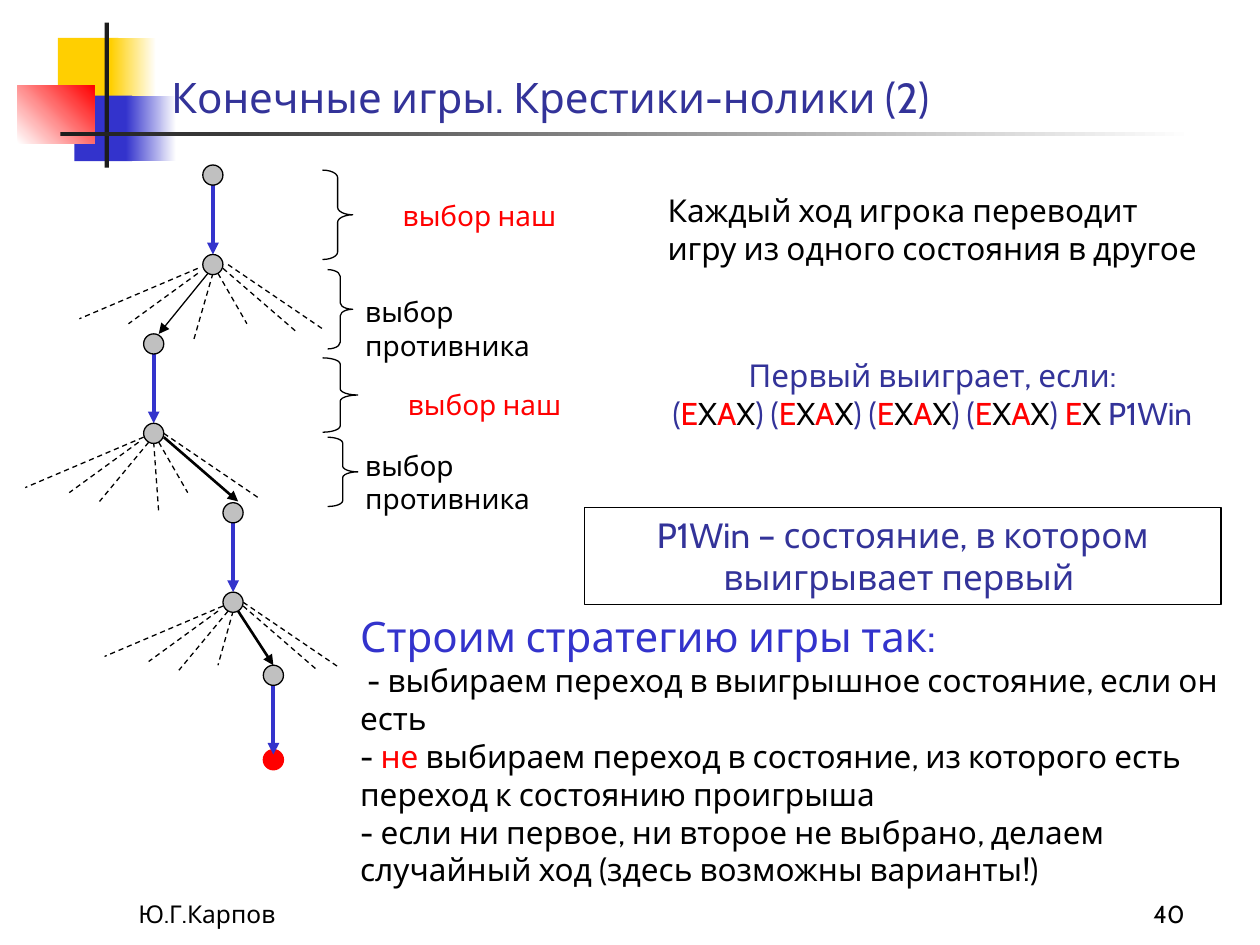
from lxml.etree import SubElement as Sub
from pptx import Presentation
from pptx.dml.color import RGBColor as Rgb
from pptx.enum.dml import MSO_LINE as Dash
from pptx.enum.shapes import MSO_CONNECTOR as Link, MSO_SHAPE as Kind
from pptx.enum.text import MSO_ANCHOR as Anchor, PP_ALIGN as Align
from pptx.oxml.ns import qn
from pptx.util import Inches, Pt

COLS, ROWS = 100, 75
HUES = {
    "black": "000000", "coal": "1C1C1C", "white": "FFFFFF", "grey": "C0C0C0",
    "red": "FF0000", "gold": "FFCF01", "blue": "3333CC", "navy": "333399",
}


def hue(name):
    return Rgb.from_string(HUES[name])


def put(item, **values):
    for name, value in values.items():
        setattr(item, name, value)


class Deck:
    face = "Cabin"

    def __init__(self):
        self.show = Presentation()
        put(self.show, slide_width=Inches(10), slide_height=Inches(7.5))
        self.slide = self.show.slides.add_slide(self.show.slide_layouts[6])

    def place(self, *cells):
        sizes = (self.show.slide_width / COLS, self.show.slide_height / ROWS)
        return [int(cell * sizes[i % 2]) for i, cell in enumerate(cells)]

    def shape(self, kind, at, fill=None, edge=None):
        item = self.slide.shapes.add_shape(kind, *self.place(*at))
        item.shadow.inherit = False
        if fill:
            item.fill.solid()
            item.fill.fore_color.rgb = hue(fill)
        else:
            item.fill.background()
        if edge:
            item.line.color.rgb = hue(edge)
            item.line.width = Pt(0.75)
        else:
            item.line.fill.background()
        return item

    def fade(self, at, start, end, angle=0):
        fill = self.shape(Kind.RECTANGLE, at).fill
        fill.gradient()
        fill.gradient_angle = angle
        for stop, name, spot in zip(fill.gradient_stops, (start, end), (0, 1)):
            put(stop, position=spot)
            stop.color.rgb = hue(name)

    def node(self, spot, fill="grey", edge="black"):
        x, y = spot
        self.shape(Kind.OVAL, (x - 0.8, y - 0.8, 1.6, 1.6), fill, edge)

    def brace(self, at):
        item = self.shape(Kind.RIGHT_BRACE, at, edge="black")
        item.adjustments[0] = at[3] / at[2] / 12

    def line(self, start, end, color="black", width=0.75, dash=False, arrow=False):
        item = self.slide.shapes.add_connector(
            Link.STRAIGHT, *self.place(*start, *end))
        item.line.color.rgb = hue(color)
        item.line.width = Pt(width)
        if dash:
            item.line.dash_style = Dash.DASH
        if arrow:
            Sub(item.line._ln, qn("a:tailEnd"), type="triangle")
        Sub(item._element.spPr, qn("a:effectLst"))

    def text(self, at, runs, size, align=Align.LEFT, anchor=Anchor.TOP, box=False):
        if box:
            item = self.shape(Kind.RECTANGLE, at, edge="black")
        else:
            item = self.slide.shapes.add_textbox(*self.place(*at))
        put(item.text_frame, word_wrap=True, vertical_anchor=anchor)
        para = item.text_frame.paragraphs[0]
        para.alignment = align
        for words, color, *own in runs:
            for i, part in enumerate(words.split("\n")):
                if i:
                    para.add_line_break()
                if part:
                    run = para.add_run()
                    run.text = part
                    put(run.font, name=self.face, size=Pt(own[0] if own else size))
                    run.font.color.rgb = hue(color)


def frame(deck):
    deck.shape(Kind.RECTANGLE, (4.6, 3, 4.8, 5.2), "gold")
    deck.fade((8.8, 3, 3.6, 5.2), "gold", "white")
    deck.shape(Kind.RECTANGLE, (5.9, 7.6, 4.6, 5.2), "blue")
    deck.fade((10, 7.6, 4, 5.2), "blue", "white")
    deck.fade((1.4, 6.8, 6.1, 4.6), "white", "red", 45)
    deck.shape(Kind.RECTANGLE, (8.3, 1.8, 0.35, 11.5), "coal")
    deck.fade((4.8, 10.5, 90, 0.3), "coal", "white")
    deck.text((12.6, 2.2, 85.2, 8), [("Конечные игры. Крестики-нолики (2)", "navy")],
              24, anchor=Anchor.BOTTOM)
    for x, words, align in ((10, "Ю.Г.Карпов", Align.LEFT), (74.2, "40", Align.RIGHT)):
        deck.text((x, 69.2, 20.8, 5), [(words, "black")], 14, align, Anchor.BOTTOM)


def tree(deck):
    heads = [(16.9, 13.9), (12.2, 27.3), (18.5, 40.7), (21.7, 53.6)]
    feet = [(x, y + 7.1) for x, y in heads[:3]]
    rays = [
        ((-1.2, 0.7), (-6.7, 4.7)), ((-0.4, 0.7), (-4.3, 5.4)),
        ((-0.8, 0.3), (-10.2, 4.3)), ((0.4, 0.7), (2.7, 4.7)),
        ((0.8, 0.3), (6.7, 5.4)), ((0.8, 0), (8.3, 5.1)),
    ]
    fans = [
        (1, (-4.3, 5.5), (-1.5, 5.9), 0.4, 0.75),
        (4, (6.7, 5.4), (0.4, 6.3), 0, 1.5),
        (3, (3.2, 5), (-1.2, 5), 0, 1.5),
    ]
    deck.node((21.7, 60.3), "red", "red")
    for (x, y), (pick, tip, down, slack, width) in zip(feet, fans):
        for i, (start, end) in enumerate(rays + [((0, 0.7), down)]):
            chosen = i == pick
            shift = {2: -slack, 5: slack}.get(i, 0)
            a, b = tip if chosen else end
            deck.line((x + start[0] + shift, y + start[1]), (x + a + shift, y + b),
                      width=width if chosen else 0.75, dash=not chosen, arrow=chosen)
    for x, y in heads:
        deck.line((x, y + 0.8), (x, y + 6.3), "blue", 2.25, arrow=True)
    for spot in heads + feet:
        deck.node(spot)


def turns(deck):
    ours, theirs = ("выбор наш", "red"), ("выбор противника", "black")
    rows = [
        ((25.6, 13.5, 2.4, 7.1), (27.6, 15.3, 20.9, 3.7), ours, Align.CENTER),
        ((26, 21.4, 2, 6.3), (28, 22.9, 21.6, 6.4), theirs, Align.LEFT),
        ((25.6, 28.4, 2.8, 5.9), (28, 30.3, 20.9, 3.7), ours, Align.CENTER),
        ((26, 34.7, 2.4, 5.5), (28, 35.1, 21.6, 6.4), theirs, Align.LEFT),
    ]
    for brace, label, run, align in rows:
        deck.brace(brace)
        deck.text(label, [run], 16, align)


def notes(deck):
    deck.text((52, 14.7, 44.1, 10),
              [("Каждый ход игрока переводит игру из одного состояния в другое", "black")], 18)
    deck.text((27.6, 48, 72.4, 23), [
        ("Строим стратегию игры так:\n", "blue", 24),
        (" - выбираем переход в выигрышное состояние, если он есть\n- ", "black"),
        ("не", "red"),
        (" выбираем переход в состояние, из которого есть переход к состоянию проигрыша\n"
         "- если ни первое, ни второе не выбрано, делаем случайный ход "
         "(здесь возможны варианты!)", "black"),
    ], 18)
    pair = [("E", "red"), ("X", "black"), ("A", "red"), ("X", "black")]
    runs = [("Первый выиграет, если:\n(", "navy")]
    for tail in [") ("] * 3 + [") "]:
        runs += pair + [(tail, "navy")]
    runs += pair[:2] + [(" P1Win", "navy")]
    deck.text((49, 27.8, 50, 7), runs, 18, Align.CENTER)
    deck.text((46.4, 40.3, 50.5, 7.7),
              [("P1Win – состояние, в котором выигрывает первый ", "navy")],
              20, Align.CENTER, box=True)


def main():
    deck = Deck()
    for part in (frame, turns, tree, notes):
        part(deck)
    deck.show.save("out.pptx")


if __name__ == "__main__":
    main()
